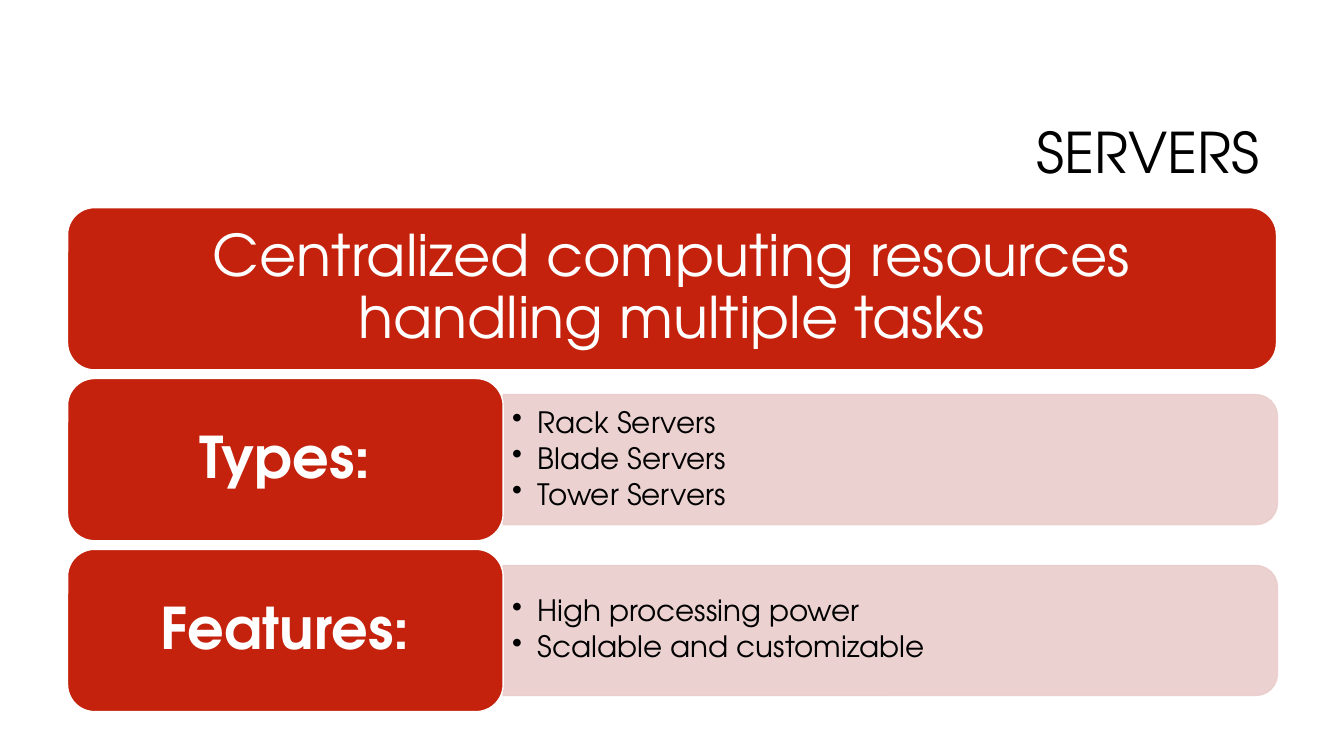
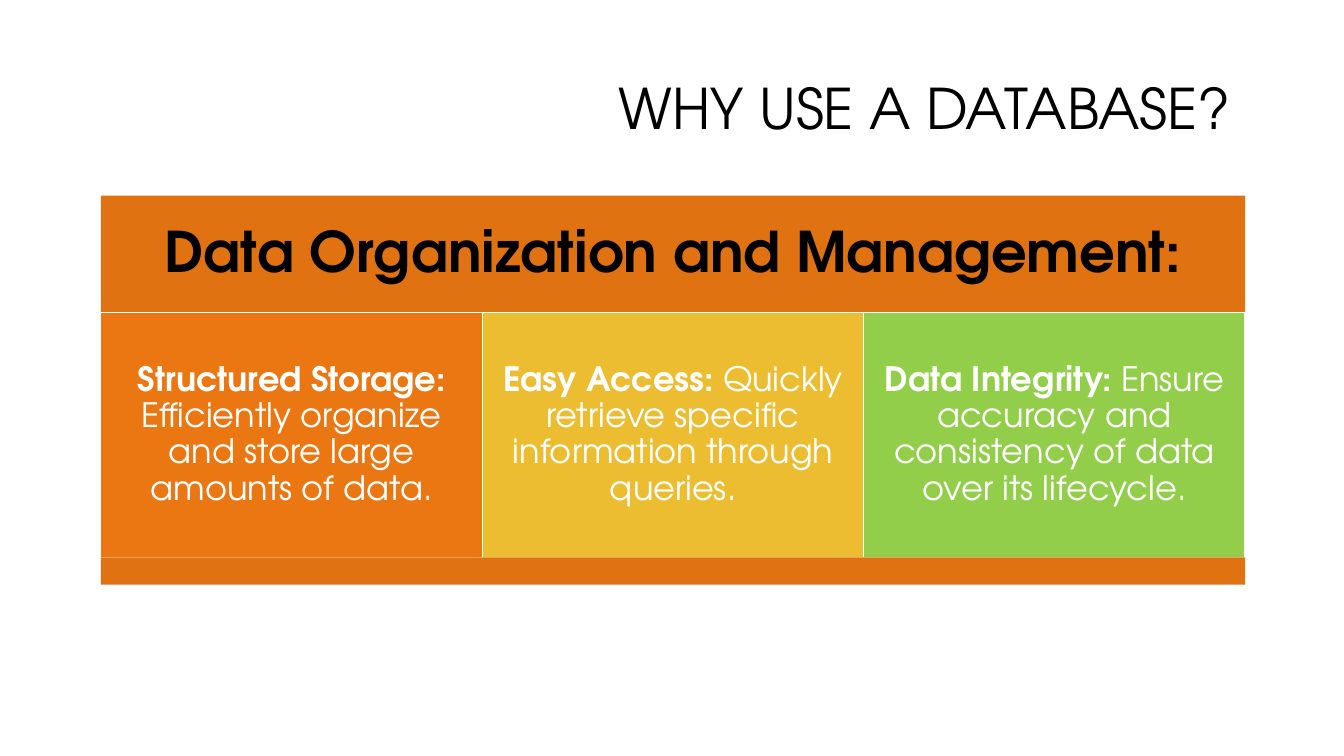
"""Build two slides: server types and features, and the reasons to use a database."""
from dataclasses import dataclass

from lxml import etree
from pptx import Presentation
from pptx.dml.color import RGBColor
from pptx.enum import shapes, text
from pptx.oxml import ns
from pptx.util import Inches, Pt


@dataclass(frozen=True)
class Theme:
    font: str = "TeX Gyre Adventor"
    black: str = "000000"
    white: str = "FFFFFF"
    red: str = "C4220D"
    pink: str = "EACDCC"
    banner: str = "E07211"
    title_size: int = 40
    card_size: int = 41
    bullet_size: int = 21
    column_size: int = 24
    line_spacing: float = 0.9


THEME = Theme()
ALIGN = text.PP_ALIGN
SHAPE = shapes.MSO_SHAPE

SERVERS = {
    "title": "SERVERS",
    "summary": "Centralized computing resources handling multiple tasks",
    "rows": [
        ("Types:", ["Rack Servers", "Blade Servers", "Tower Servers"]),
        ("Features:", ["High processing power", "Scalable and customizable"]),
    ],
}
DATABASE = {
    "title": "WHY USE A DATABASE?",
    "heading": "Data Organization and Management:",
    "columns": [
        ("Structured Storage:", " Efficiently organize and store large amounts of data.", "EB7712"),
        ("Easy Access:", " Quickly retrieve specific information through queries.", "ECBD31"),
        ("Data Integrity:", " Ensure accuracy and consistency of data over its lifecycle.", "92CE4A"),
    ],
}


def write(frame, paragraphs, size, color, align, insets=(0.1, 0.05), bullets=False):
    """Fill a frame with paragraphs, each a list of (words, bold) spans."""
    frame.word_wrap = True
    frame.auto_size = text.MSO_AUTO_SIZE.NONE
    frame.vertical_anchor = text.MSO_ANCHOR.MIDDLE
    frame.margin_left = frame.margin_right = Inches(insets[0])
    frame.margin_top = frame.margin_bottom = Inches(insets[1])
    for index, spans in enumerate(paragraphs):
        para = frame.add_paragraph() if index else frame.paragraphs[0]
        para.alignment = align
        para.line_spacing = THEME.line_spacing
        if bullets:
            para.space_after = Pt(3)
            properties = para._p.get_or_add_pPr()
            properties.set("marL", str(Inches(0.25)))
            properties.set("indent", str(-Inches(0.25)))
            etree.SubElement(properties, ns.qn("a:buChar")).set("char", "•")
        for words, bold in spans:
            span = para.add_run()
            span.text = words
            span.font.name = THEME.font
            span.font.size = Pt(size)
            span.font.bold = bold
            span.font.color.rgb = RGBColor.from_string(color)


def add_page(deck, title, left, top, width, height):
    """Add a title-only slide with its right-aligned title."""
    page = deck.slides.add_slide(deck.slide_layouts[5])
    box = page.shapes.title
    box.left, box.top, box.width, box.height = map(Inches, (left, top, width, height))
    write(box.text_frame, [[(title, False)]], THEME.title_size, THEME.black, ALIGN.RIGHT)
    return page


def add_block(page, kind, left, top, width, height, fill, line=None, opacity=None):
    """Add a flat filled shape with an optional outline and opacity."""
    block = page.shapes.add_shape(kind, *map(Inches, (left, top, width, height)))
    block.shadow.inherit = False
    block.fill.solid()
    block.fill.fore_color.rgb = RGBColor.from_string(fill)
    if line:
        block.line.color.rgb = RGBColor.from_string(line)
        block.line.width = Pt(1)
    else:
        block.line.fill.background()
    if opacity:
        for color in block._element.spPr.iter(ns.qn("a:srgbClr")):
            etree.SubElement(color, ns.qn("a:alpha")).set("val", str(opacity * 1000))
    return block


def add_card(page, left, top, width, height, words, bold):
    """Add a rounded red card with large white text."""
    card = add_block(page, SHAPE.ROUNDED_RECTANGLE, left, top, width, height, THEME.red, THEME.white)
    write(card.text_frame, [[(words, bold)]], THEME.card_size, THEME.white, ALIGN.CENTER, (0.17, 0.09))


def add_panel(page, left, middle, width, height, items):
    """Add a pale panel, rounded on its right side, with a bulleted list."""
    add_block(page, SHAPE.ROUND_2_SAME_RECTANGLE, left + (width - height) / 2, middle - width / 2,
              height, width, THEME.pink, THEME.pink, opacity=90).rotation = 90
    list_height = 1.16
    box = page.shapes.add_textbox(*map(Inches, (left, middle - list_height / 2, 7.62, list_height)))
    write(box.text_frame, [[(item, False)] for item in items], THEME.bullet_size, THEME.black,
          ALIGN.LEFT, (0.09, 0.04), bullets=True)


def build_servers(deck):
    """Lay out the summary card and the label rows below it."""
    page = add_page(deck, SERVERS["title"], 3.17, 0.84, 9.42, 1.41)
    left, top, height, bottom, label_width = 0.67, 2.06, 1.61, 7.06, 4.32
    pitch = (bottom - top - height) / len(SERVERS["rows"])
    add_card(page, left, top, 11.99, height, SERVERS["summary"], False)
    for index, (label, items) in enumerate(SERVERS["rows"], 1):
        row_top = top + index * pitch
        add_panel(page, left + label_width, row_top + height / 2, 7.68, 1.29, items)
        add_card(page, left, row_top, label_width, height, label, True)


def build_database(deck):
    """Lay out the banner, the three columns and the closing band."""
    page = add_page(deck, DATABASE["title"], 0.31, 0.34, 12, 1.53)
    left, top, width = 1, 1.94, 11.35
    banner_height, column_height, band_height = 1.16, 2.43, 0.27
    banner = add_block(page, SHAPE.RECTANGLE, left, top, width, banner_height, THEME.banner)
    write(banner.text_frame, [[(DATABASE["heading"], True)]], THEME.title_size, THEME.black,
          ALIGN.CENTER, (0.17, 0.17))
    column_top = top + banner_height
    column_width = width / len(DATABASE["columns"])
    for index, (label, detail, fill) in enumerate(DATABASE["columns"]):
        column = add_block(page, SHAPE.RECTANGLE, left + index * column_width, column_top,
                           column_width, column_height, fill, THEME.white)
        write(column.text_frame, [[(label, True), (detail, False)]], THEME.column_size,
              THEME.white, ALIGN.CENTER, (0.1, 0.1))
    add_block(page, SHAPE.RECTANGLE, left, column_top + column_height, width, band_height, THEME.banner)


def main():
    """Build and save the deck."""
    deck = Presentation()
    deck.slide_width, deck.slide_height = Inches(13.33), Inches(7.5)
    build_servers(deck)
    build_database(deck)
    deck.save("out.pptx")


if __name__ == "__main__":
    main()
